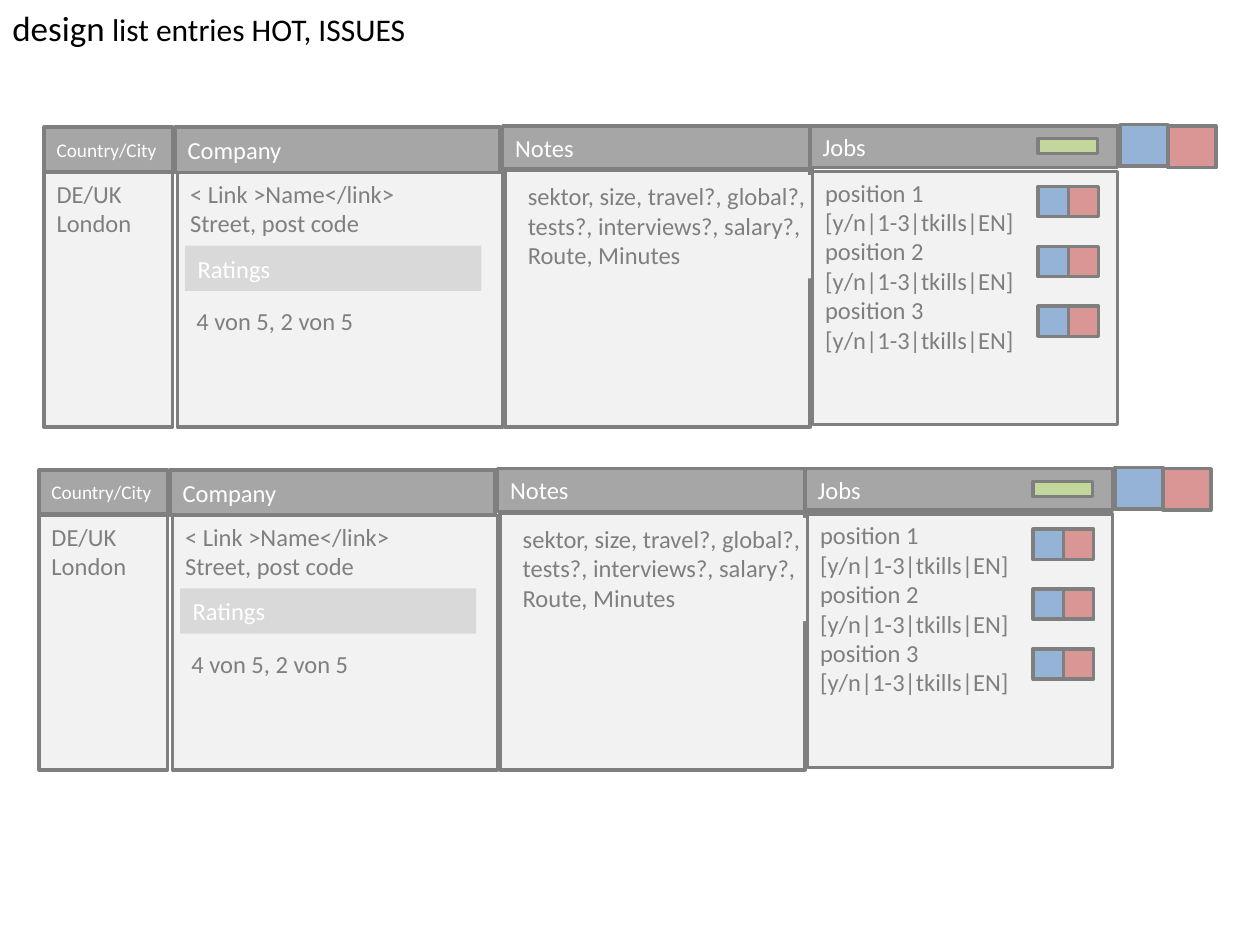
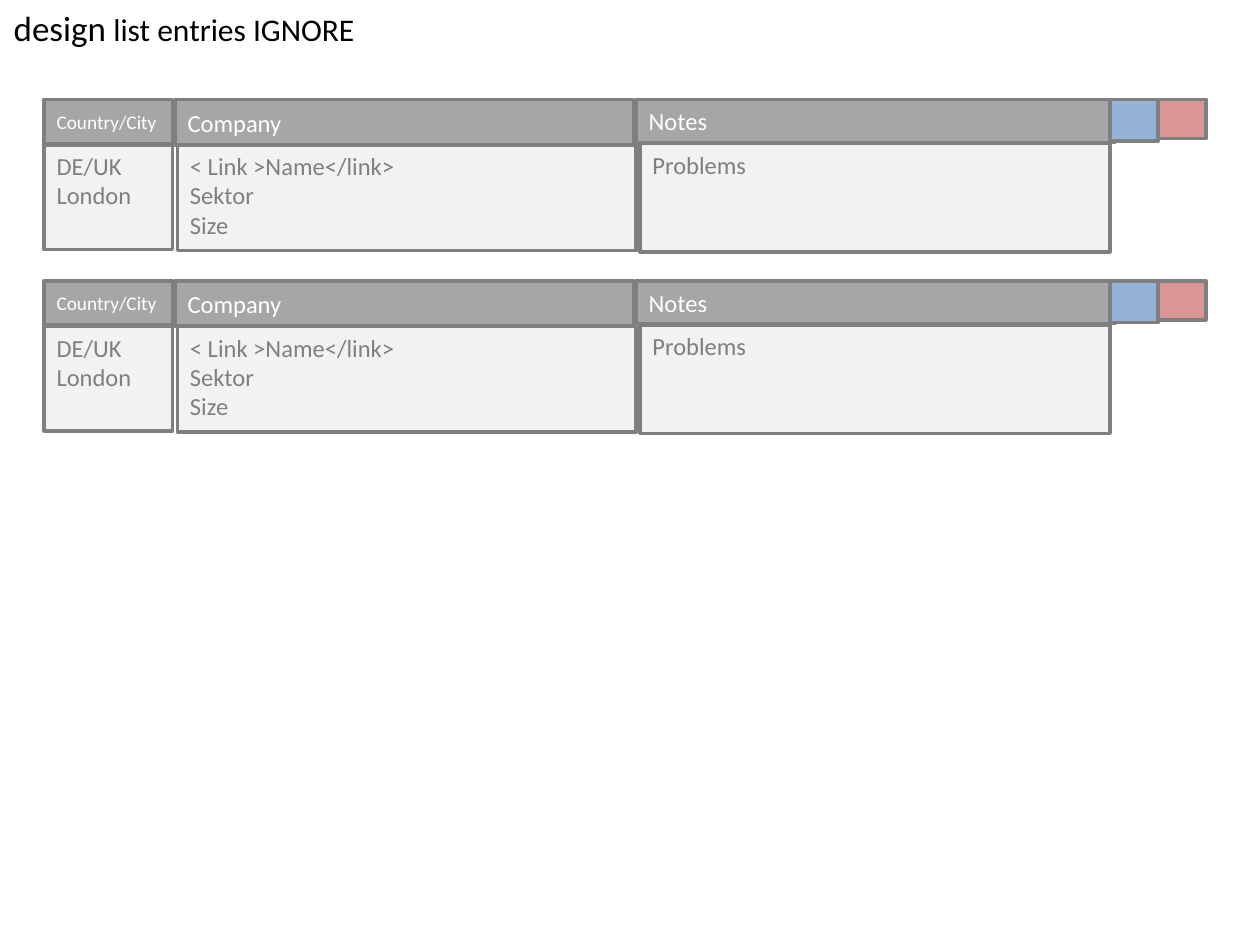
from pptx import Presentation
from pptx.dml.color import RGBColor
from pptx.enum.shapes import MSO_SHAPE
from pptx.enum.text import MSO_ANCHOR, MSO_AUTO_SIZE, PP_ALIGN
from pptx.util import Inches, Pt

RECTANGLE = MSO_SHAPE.RECTANGLE
TOP, MIDDLE = MSO_ANCHOR.TOP, MSO_ANCHOR.MIDDLE
LEFT = PP_ALIGN.LEFT
FIT_SHAPE = MSO_AUTO_SIZE.SHAPE_TO_FIT_TEXT

BLACK = RGBColor(0x00, 0x00, 0x00)
WHITE = RGBColor(0xFF, 0xFF, 0xFF)
OUTLINE = RGBColor(0x7F, 0x7F, 0x7F)
HEADER = RGBColor(0xA6, 0xA6, 0xA6)
BAND = RGBColor(0xD9, 0xD9, 0xD9)
BODY = RGBColor(0xF2, 0xF2, 0xF2)
BLUE = RGBColor(0x95, 0xB3, 0xD7)
RED = RGBColor(0xD9, 0x96, 0x94)
GREEN = RGBColor(0xC3, 0xD6, 0x9B)
FONT = "Calibri"

presentation = Presentation()
presentation.slide_width = Inches(10)
presentation.slide_height = Inches(7.5)
blank_layout = presentation.slide_layouts[6]
UNIT = presentation.slide_width // 1000


def add_box(slide, origin, area, fill, text="", size=14, outlined=True):
    column, row, width, height = area
    shape = slide.shapes.add_shape(
        RECTANGLE, int((origin[0] + column) * UNIT), int((origin[1] + row) * UNIT),
        width * UNIT, height * UNIT)
    shape.shadow.inherit = False
    shape.fill.solid()
    shape.fill.fore_color.rgb = fill
    if outlined:
        shape.line.color.rgb = OUTLINE
        shape.line.width = Pt(2)
    else:
        shape.line.fill.background()
    if text:
        frame = shape.text_frame
        frame.word_wrap = True
        frame.vertical_anchor = TOP if fill == BODY else MIDDLE
        frame.text = text
        for paragraph in frame.paragraphs:
            paragraph.alignment = LEFT
            paragraph.font.name = FONT
            paragraph.font.size = Pt(size)
            paragraph.font.color.rgb = OUTLINE if fill == BODY else WHITE


def add_list_slide(topic, left, width):
    slide = presentation.slides.add_slide(blank_layout)
    title = slide.shapes.add_textbox(left * UNIT, 0, width * UNIT, 44 * UNIT)
    title.text_frame.word_wrap = False
    title.text_frame.auto_size = FIT_SHAPE
    paragraph = title.text_frame.paragraphs[0]
    paragraph.font.name = FONT
    paragraph.font.color.rgb = BLACK
    for words, size in (("design", 20), (f" list entries {topic}", 18)):
        run = paragraph.add_run()
        run.text = words
        run.font.size = Pt(size)
    return slide


POSITIONS = "\n".join(f"position {number}\n[y/n|1-3|tkills|EN]" for number in (1, 2, 3))
PLACE = "DE/UK\nLondon"

hot_columns = [
    ("Country/City", 11, (0, 1, 102, 35), PLACE, (0, 37, 102, 202)),
    ("Company", 14, (104, 1, 258, 36),
     "< Link >Name</link>\nStreet, post code", (106, 37, 258, 202)),
    ("Notes", 14, (364, 0, 246, 34), "", (366, 35, 242, 204)),
]
hot_details = [
    ((374, 39, 248, 82), BODY,
     "sektor, size, travel?, global?, tests?, interviews?, salary?, Route, Minutes"),
    ((112, 95, 235, 36), BAND, "Ratings"),
    ((111, 138, 235, 41), BODY, "4 von 5, 2 von 5"),
]
hot_buttons = [
    ((854, -1, 38, 33), BLUE),
    ((892, 0, 38, 33), RED),
    ((789, 10, 47, 12), GREEN),
]
for position in range(3):
    for side, color in enumerate((BLUE, RED)):
        hot_buttons.append(((789 + 24 * side, 48 + 47.5 * position, 24, 24), color))

hot_slide = add_list_slide("HOT, ISSUES", 0, 336)
for origin in ((35, 100), (31, 372)):
    for heading, size, header_area, text, body_area in hot_columns:
        add_box(hot_slide, origin, header_area, HEADER, heading, size)
        add_box(hot_slide, origin, body_area, BODY, text)
    for area, fill, text in hot_details:
        add_box(hot_slide, origin, area, fill, text, outlined=False)
    add_box(hot_slide, origin, (608, 0, 244, 33), HEADER, "Jobs")
    add_box(hot_slide, origin, (610, 36, 242, 201), BODY, POSITIONS)
    for area, fill in hot_buttons:
        add_box(hot_slide, origin, area, fill)

ignore_columns = [
    ("Country/City", 11, (0, 0, 102, 35), PLACE, (0, 36, 102, 83)),
    ("Company", 14, (104, 0, 364, 36),
     "< Link >Name</link>\nSektor\nSize", (106, 36, 364, 84)),
    ("Notes", 14, (470, 0, 380, 34), "Problems", (473, 35, 373, 86)),
]
ignore_buttons = [((846, 0, 38, 33), BLUE), ((884, 0, 38, 31), RED)]

ignore_slide = add_list_slide("IGNORE", 1, 291)
for origin in ((35, 79), (35, 223)):
    for heading, size, header_area, text, body_area in ignore_columns:
        add_box(ignore_slide, origin, header_area, HEADER, heading, size)
        add_box(ignore_slide, origin, body_area, BODY, text)
    for area, fill in ignore_buttons:
        add_box(ignore_slide, origin, area, fill)

presentation.save("out.pptx")
